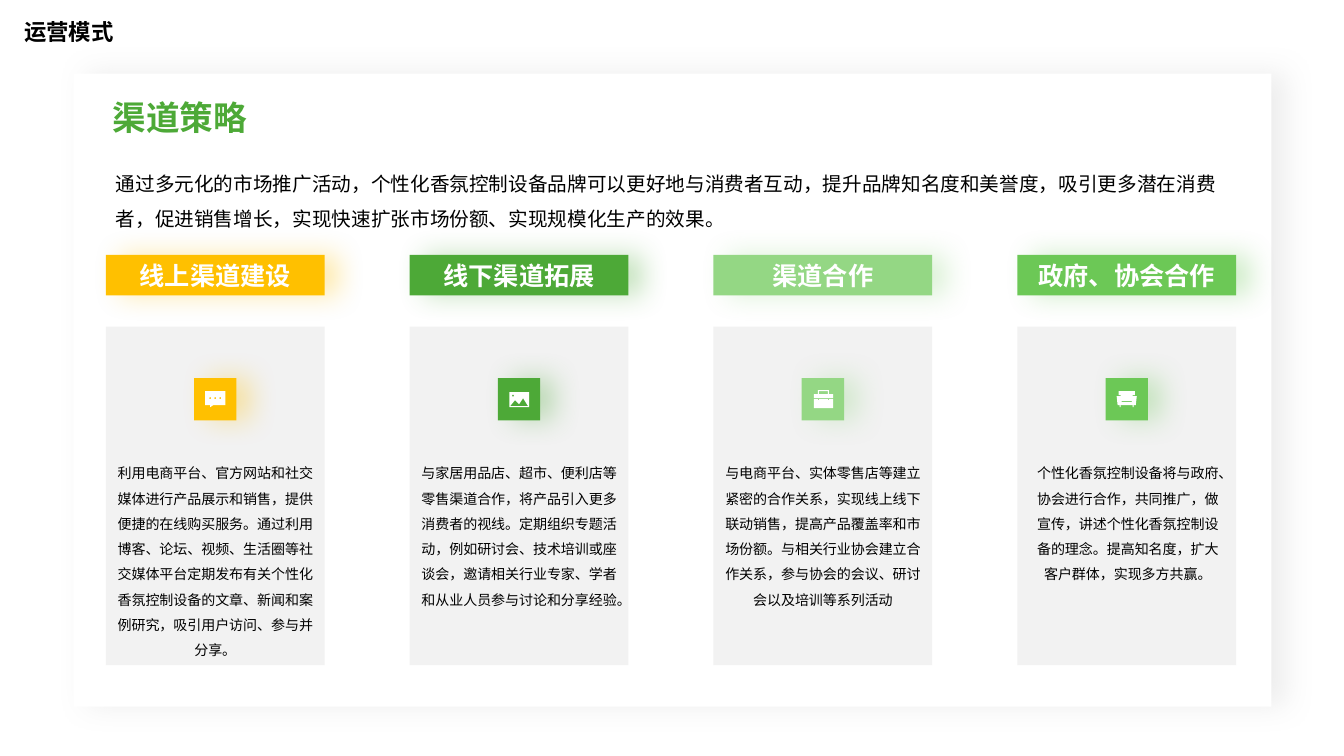
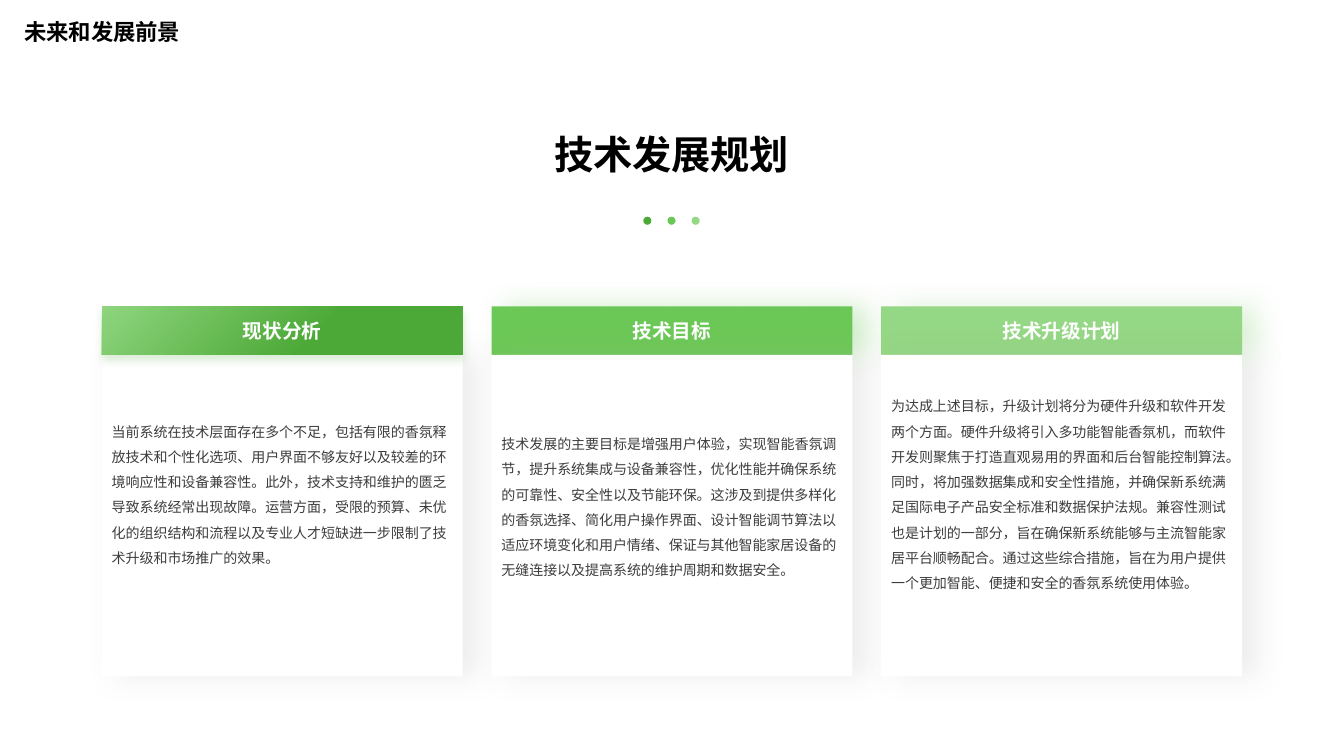
from dataclasses import dataclass

from lxml.etree import SubElement
from pptx import Presentation
from pptx.dml.color import RGBColor
from pptx.enum.shapes import MSO_SHAPE
from pptx.enum.text import MSO_ANCHOR, PP_ALIGN
from pptx.oxml.ns import qn
from pptx.util import Inches, Pt


@dataclass(frozen=True)
class Theme:
    font: str = "Noto Sans CJK SC"
    black: str = "000000"
    white: str = "FFFFFF"
    body: str = "3D3D3D"
    card: str = "F2F2F2"
    shade: str = "A6A6A6"
    amber: str = "FFC000"
    green: str = "4DA937"
    mid_green: str = "6CC856"
    pale_green: str = "94D784"
    gradient_start: str = "8ED57E"
    headline_size: int = 28
    section_size: int = 24
    band_size: int = 18
    title_size: int = 16
    lead_size: int = 14
    body_size: int = 10


theme = Theme()


def add_box(slide, at, fill=None, shadow=None, kind=MSO_SHAPE.RECTANGLE):
    """Add a borderless shape; shadow is (colour, opacity %, blur, distance, angle)."""
    box = slide.shapes.add_shape(kind, *map(Inches, at))
    if fill:
        box.fill.solid()
        box.fill.fore_color.rgb = RGBColor.from_string(fill)
    else:
        box.fill.background()
    box.line.fill.background()
    box.shadow.inherit = False
    if shadow:
        color, opacity, blur, distance, angle = shadow
        effects = box._element.spPr.find(qn("a:effectLst"))
        outer = SubElement(effects, qn("a:outerShdw"), blurRad=str(Pt(blur)),
                           dist=str(Pt(distance)), dir=str(angle * 60000),
                           algn="ctr", rotWithShape="0")
        clr = SubElement(outer, qn("a:srgbClr"), val=color)
        SubElement(clr, qn("a:alpha"), val=str(opacity * 1000))
    return box


def write(box, text, size, color, bold=False, align=PP_ALIGN.LEFT,
          anchor=MSO_ANCHOR.TOP, spacing=None, wrap=True):
    frame = box.text_frame
    frame.text = text
    frame.word_wrap = wrap
    frame.vertical_anchor = anchor
    paragraph = frame.paragraphs[0]
    paragraph.alignment = align
    paragraph.line_spacing = spacing
    run = paragraph.runs[0]
    run.font.size = Pt(size)
    run.font.bold = bold
    run.font.color.rgb = RGBColor.from_string(color)
    run.font.name = theme.font
    SubElement(run.font._element, qn("a:ea"), typeface=theme.font)


prs = Presentation()
prs.slide_width = Inches(13.33)
prs.slide_height = Inches(7.5)

# Slides with their shared title style
slides = []
for title, title_width in [("运营模式", 1.09), ("未来和发展前景", 1.81)]:
    slide = prs.slides.add_slide(prs.slide_layouts[6])
    title_box = slide.shapes.add_textbox(*map(Inches, (0.14, 0.13, title_width, 0.37)))
    write(title_box, title, theme.title_size, theme.black, bold=True, wrap=False)
    slides.append(slide)
channel_slide, plan_slide = slides
panel_shadow = (theme.shade, 20, 20, 10, 0)

# Channel strategy: panel, heading and lead text
add_box(channel_slide, (0.73, 0.73, 11.88, 6.28), theme.white, panel_shadow)
section = channel_slide.shapes.add_textbox(*map(Inches, (1.02, 0.91, 11.22, 0.5)))
write(section, "渠道策略", theme.section_size, theme.green, bold=True,
      anchor=MSO_ANCHOR.MIDDLE)
lead = channel_slide.shapes.add_textbox(*map(Inches, (1.05, 1.54, 11.22, 0.81)))
write(lead, "通过多元化的市场推广活动，个性化香氛控制设备品牌可以更好地与消费者互动，"
      "提升品牌知名度和美誉度，吸引更多潜在消费者，促进销售增长，"
      "实现快速扩张市场份额、实现规模化生产的效果。",
      theme.lead_size, theme.black, spacing=1.5)

# Icon outlines, in hundredths of an inch from the corner of the tile
dot = [(1, 0), (0.7, 0.7), (0, 1), (-0.7, 0.7), (-1, 0), (-0.7, -0.7), (0, -1), (0.7, -0.7)]
chat_icon = [[(31, 13), (31, 27), (19, 27), (16, 29), (16, 27), (11, 27), (11, 13)]]
chat_icon += [[(x + dx, 20 + dy) for dx, dy in dot] for x in (16, 21, 26)]
picture_icon = [
    [(31, 14), (31, 29), (11.5, 29), (11.5, 14)],
    [(25, 20), (21, 26), (17, 22), (12, 28), (30, 28)],
    [(15 + dx, 17.5 + dy) for dx, dy in dot],
]
briefcase_icon = [
    [(16, 21), (16, 22), (17, 22), (17, 21), (26, 21), (26, 22), (27, 22), (27, 21),
     (31, 21), (31, 30), (12, 30), (12, 21)],
    [(27, 12), (27, 16), (31, 16), (31, 20), (12, 20), (12, 16), (16, 16), (16, 12)],
    [(26, 13), (17, 13), (17, 16), (26, 16)],
]
sofa_icon = [
    [(15, 18), (16, 24), (26, 24), (27, 18), (31, 18), (30, 27), (28, 27), (28, 29),
     (27, 29), (27, 27), (15, 27), (15, 29), (14, 29), (14, 27), (12, 27), (11, 18)],
    [(29, 13), (29, 17), (27, 17), (26, 23), (16, 23), (15, 17), (13, 17), (13, 13)],
]

# Four channels: name, colour, icon, text offset, text width, text
channels = [
    ("线上渠道建设", theme.amber, chat_icon, 0, 2.17,
     "利用电商平台、官方网站和社交媒体进行产品展示和销售，提供便捷的在线购买服务。"
     "通过利用博客、论坛、视频、生活圈等社交媒体平台定期发布有关个性化香氛控制设备的"
     "文章、新闻和案例研究，吸引用户访问、参与并分享。"),
    ("线下渠道拓展", theme.green, picture_icon, 0, 2.17,
     "与家居用品店、超市、便利店等零售渠道合作，将产品引入更多消费者的视线。"
     "定期组织专题活动，例如研讨会、技术培训或座谈会，邀请相关行业专家、学者和"
     "从业人员参与讨论和分享经验。"),
    ("渠道合作", theme.pale_green, briefcase_icon, 0, 2.17,
     "与电商平台、实体零售店等建立紧密的合作关系，实现线上线下联动销售，"
     "提高产品覆盖率和市场份额。与相关行业协会建立合作关系，参与协会的会议、"
     "研讨会以及培训等系列活动"),
    ("政府、协会合作", theme.mid_green, sofa_icon, 0.04, 2.11,
     "个性化香氛控制设备将与政府、协会进行合作，共同推广，做宣传，"
     "讲述个性化香氛控制设备的理念。提高知名度，扩大客户群体，实现多方共赢。"),
]
column_width, tile_size, tile_top = 2.17, 0.42, 3.75
column_pitch = (10.09 - 1.05) / 3
for i, (name, color, icon, text_offset, text_width, text) in enumerate(channels):
    left = 1.05 + i * column_pitch
    glow = (color, 32, 20, 10, 0)
    band = add_box(channel_slide, (left, 2.53, column_width, 0.4), color, glow)
    write(band, name, theme.band_size, theme.white, bold=True,
          align=PP_ALIGN.CENTER, anchor=MSO_ANCHOR.MIDDLE)
    add_box(channel_slide, (left, 3.24, column_width, 3.36), theme.card)
    detail = channel_slide.shapes.add_textbox(
        *map(Inches, (left + text_offset, 4.48, text_width, 2.12)))
    write(detail, text, theme.body_size, theme.black, align=PP_ALIGN.CENTER, spacing=1.5)

    tile_left = left + (column_width - tile_size) / 2
    add_box(channel_slide, (tile_left, tile_top, tile_size, tile_size), color, glow)
    outlines = [[(x * 10, y * 10) for x, y in outline] for outline in icon]
    builder = channel_slide.shapes.build_freeform(*outlines[0][0], scale=Inches(1) / 1000)
    builder.add_line_segments(outlines[0][1:])
    for outline in outlines[1:]:
        builder.move_to(*outline[0])
        builder.add_line_segments(outline[1:])
    symbol = builder.convert_to_shape(Inches(tile_left), Inches(tile_top))
    symbol.fill.solid()
    symbol.fill.fore_color.rgb = RGBColor.from_string(theme.white)
    symbol.line.fill.background()
    symbol.shadow.inherit = False

# Technology plan: headline and dots
headline = plan_slide.shapes.add_textbox(*map(Inches, (0.72, 1.24, 11.88, 0.57)))
write(headline, "技术发展规划", theme.headline_size, theme.black, bold=True,
      align=PP_ALIGN.CENTER)
for i, color in enumerate((theme.green, theme.mid_green, theme.pale_green)):
    add_box(plan_slide, (6.38 + i * 0.24, 2.15, 0.08, 0.08), color, kind=MSO_SHAPE.OVAL)

# Three stages: name, colour, band shadow, bottom inset, text
stages = [
    ("现状分析", theme.green, (theme.green, 20, 6, 4, 90), 0.55,
     "当前系统在技术层面存在多个不足，包括有限的香氛释放技术和个性化选项、"
     "用户界面不够友好以及较差的环境响应性和设备兼容性。此外，技术支持和维护的匮乏"
     "导致系统经常出现故障。运营方面，受限的预算、未优化的组织结构和流程以及"
     "专业人才短缺进一步限制了技术升级和市场推广的效果。"),
    ("技术目标", theme.mid_green, (theme.mid_green, 32, 20, 10, 0), 0.3,
     "技术发展的主要目标是增强用户体验，实现智能香氛调节，提升系统集成与设备兼容性，"
     "优化性能并确保系统的可靠性、安全性以及节能环保。这涉及到提供多样化的香氛选择、"
     "简化用户操作界面、设计智能调节算法以适应环境变化和用户情绪、"
     "保证与其他智能家居设备的无缝连接以及提高系统的维护周期和数据安全。"),
    ("技术升级计划", theme.pale_green, (theme.pale_green, 32, 20, 10, 0), 0.55,
     "为达成上述目标，升级计划将分为硬件升级和软件开发两个方面。"
     "硬件升级将引入多功能智能香氛机，而软件开发则聚焦于打造直观易用的界面和"
     "后台智能控制算法。同时，将加强数据集成和安全性措施，并确保新系统满足国际"
     "电子产品安全标准和数据保护法规。兼容性测试也是计划的一部分，旨在确保新系统"
     "能够与主流智能家居平台顺畅配合。通过这些综合措施，旨在为用户提供一个更加智能、"
     "便捷和安全的香氛系统使用体验。"),
]
stage_width = 3.58
stage_pitch = (8.74 - 1.01) / 2
for i, (name, color, band_shadow, bottom_inset, text) in enumerate(stages):
    left = 1.01 + i * stage_pitch
    card = add_box(plan_slide, (left, 3.52, stage_width, 3.19), theme.white, panel_shadow)
    write(card, text, theme.body_size, theme.body, anchor=MSO_ANCHOR.MIDDLE, spacing=1.5)
    card.text_frame.margin_bottom = Inches(bottom_inset)
    band = add_box(plan_slide, (left, 3.04, stage_width, 0.48), color, band_shadow)
    write(band, name, theme.lead_size, theme.white, bold=True,
          align=PP_ALIGN.CENTER, anchor=MSO_ANCHOR.MIDDLE)
    if i == 0:
        band.fill.gradient()
        band.fill.gradient_angle = 315
        for stop, stop_color, position in zip(
                band.fill.gradient_stops, (theme.gradient_start, color), (0, 0.6)):
            stop.color.rgb = RGBColor.from_string(stop_color)
            stop.position = position
    else:
        # The card covers the lower part of the band's glow
        card._element.addprevious(band._element)

prs.save("out.pptx")
